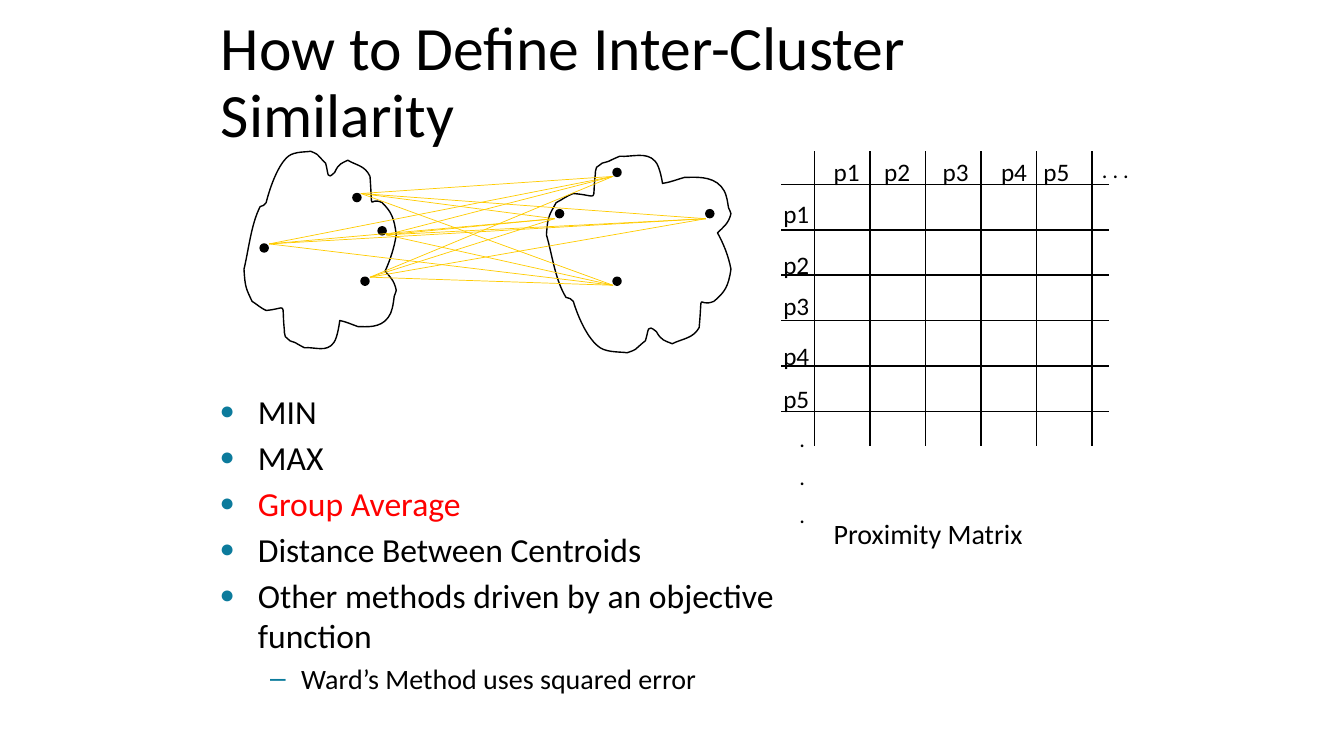
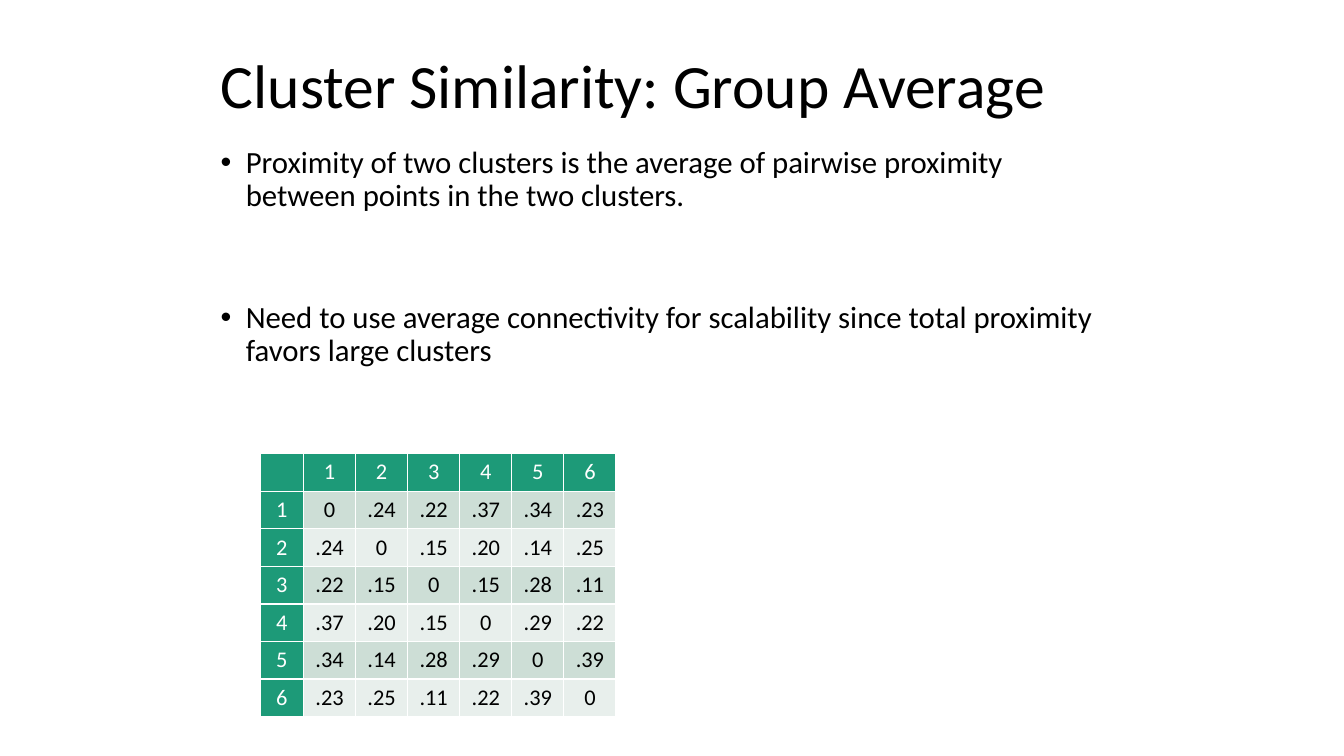
from dataclasses import dataclass
from itertools import product
from typing import NamedTuple

from lxml import etree
from pptx import Presentation, util as u
from pptx.dml.color import RGBColor
from pptx.enum import shapes, text
from pptx.oxml import ns


@dataclass(frozen=True)
class Theme:
    font: str = "Calibri"
    bullet_font: str = "Arial"
    ink: str = "000000"
    paper: str = "FFFFFF"
    accent: str = "FF0000"
    link: str = "FFCC00"
    bullet: str = "0C7B9C"
    header: str = "1D9A78"
    bands: tuple[str, str] = ("CDDED6", "E8EFEC")
    title: int = 44
    body: int = 24
    statement: int = 22
    detail: int = 20
    label: int = 18
    small: int = 16


THEME = Theme()


class Point(NamedTuple):
    x: float
    y: float


class Curve(NamedTuple):
    first_control: Point
    second_control: Point
    end: Point


class Box(NamedTuple):
    left: float
    top: float
    width: float
    height: float

    def lengths(self) -> list[u.Length]:
        return [u.Inches(value) for value in self]


class Bullet(NamedTuple):
    char: str
    margin: float
    hanging: float
    color: str
    percent: int = 100


class Item(NamedTuple):
    words: str
    size: int
    bullet: Bullet | None = None
    color: str = THEME.ink
    level: int = 0
    before: float = 0
    after: float = 0
    spacing: float = 1.0


# Shared text and line helpers
def style_font(paragraph, size: int, color: str = THEME.ink) -> None:
    font = paragraph.font
    font.name, font.size = THEME.font, u.Pt(size)
    font.color.rgb = RGBColor.from_string(color)


def add_bullet(paragraph, bullet: Bullet) -> None:
    properties = paragraph._p.get_or_add_pPr()
    properties.set("marL", str(u.Inches(bullet.margin)))
    properties.set("indent", str(-u.Inches(bullet.hanging)))
    color = etree.SubElement(properties, ns.qn("a:buClr"))
    etree.SubElement(color, ns.qn("a:srgbClr"), val=bullet.color)
    etree.SubElement(properties, ns.qn("a:buSzPct"), val=str(bullet.percent * 1000))
    etree.SubElement(properties, ns.qn("a:buFont"), typeface=THEME.bullet_font)
    etree.SubElement(properties, ns.qn("a:buChar"), char=bullet.char)


def add_text(parent, box: Box, items: list[Item], grow: bool = False) -> None:
    frame = parent.add_textbox(*box.lengths()).text_frame
    frame.word_wrap = True
    if grow:
        frame.auto_size = text.MSO_AUTO_SIZE.SHAPE_TO_FIT_TEXT
    for index, item in enumerate(items):
        paragraph = frame.add_paragraph() if index else frame.paragraphs[0]
        paragraph.text = item.words
        paragraph.level = item.level
        if item.bullet:
            add_bullet(paragraph, item.bullet)
        paragraph.line_spacing = item.spacing
        paragraph.space_before = u.Pt(item.before if index else 0)
        paragraph.space_after = u.Pt(item.after)
        style_font(paragraph, item.size, item.color)


def add_line(parent, start: Point, end: Point, color: str, weight: float) -> None:
    ends = [u.Inches(value) for value in (*start, *end)]
    line = parent.add_connector(shapes.MSO_CONNECTOR.STRAIGHT, *ends)
    line.line.color.rgb = RGBColor.from_string(color)
    line.line.width = u.Pt(weight)
    etree.SubElement(line._element.spPr, ns.qn("a:effectLst"))


def add_titled_slide(presentation, title: str, box: Box):
    slide = presentation.slides.add_slide(presentation.slide_layouts[5])
    shape = slide.shapes.title
    shape.left, shape.top, shape.width, shape.height = box.lengths()
    frame = shape.text_frame
    frame.text = title
    frame.word_wrap = True
    frame.auto_size = text.MSO_AUTO_SIZE.NONE
    frame.vertical_anchor = text.MSO_ANCHOR.MIDDLE
    paragraph = frame.paragraphs[0]
    paragraph.alignment = text.PP_ALIGN.LEFT
    paragraph.line_spacing = 0.9
    style_font(paragraph, THEME.title)
    return slide


# Cluster outline: a start point, then curves (two controls and an end each)
OUTLINE_START = Point(2.58, 2.05)
OUTLINE_CURVES = [Curve(Point(*c[:2]), Point(*c[2:4]), Point(*c[4:])) for c in [
    (2.49, 2.23, 2.47, 2.46, 2.42, 2.67), (2.43, 2.85, 2.44, 2.86, 2.5, 2.99),
    (2.55, 3.02, 2.59, 3.06, 2.64, 3.08), (2.86, 3.06, 2.79, 2.98, 2.82, 3.27),
    (2.82, 3.29, 2.82, 3.31, 2.83, 3.34), (2.9, 3.4, 2.85, 3.37, 2.93, 3.4),
    (2.96, 3.42, 3.02, 3.45, 3.02, 3.45), (3.12, 3.44, 3.24, 3.5, 3.31, 3.4),
    (3.35, 3.35, 3.37, 3.18, 3.37, 3.18), (3.43, 3.19, 3.49, 3.22, 3.55, 3.24),
    (3.63, 3.24, 3.77, 3.26, 3.85, 3.15), (3.89, 3.1, 3.9, 3.02, 3.91, 2.94),
    (3.92, 2.92, 3.93, 2.88, 3.93, 2.88), (3.91, 2.78, 3.87, 2.75, 3.82, 2.69),
    (3.87, 2.58, 3.91, 2.46, 3.93, 2.33), (3.91, 2.16, 3.88, 2.1, 3.79, 2.01),
    (3.65, 1.94, 3.7, 2.15, 3.67, 1.75), (3.62, 1.64, 3.53, 1.64, 3.45, 1.59),
    (3.39, 1.62, 3.36, 1.62, 3.32, 1.71), (3.24, 1.79, 3.26, 1.73, 3.23, 1.62),
    (3.12, 1.51, 3.17, 1.54, 3.08, 1.5), (3.05, 1.51, 2.92, 1.5, 2.86, 1.55),
    (2.76, 1.63, 2.68, 1.85, 2.64, 2.01), (2.63, 2.04, 2.6, 2.04, 2.58, 2.05),
]]


def mirrored(point: Point) -> Point:
    """Turn the left outline upside down and widen it for the right cluster."""
    return Point(5.42 + (point.x - 2.42) * 1.83 / 1.51, 5 - point.y)


def add_outline(slide, start: Point, curves: list[Curve]):
    builder = slide.shapes.build_freeform(u.Inches(start.x), u.Inches(start.y))
    builder.add_line_segments([(u.Inches(x), u.Inches(y)) for _, _, (x, y) in curves])
    outline = builder.convert_to_shape()
    # Bend each straight segment into its cubic curve
    segments = list(outline._element.iter(ns.qn("a:lnTo")))
    for segment, curve in zip(segments, curves):
        bend = etree.Element(ns.qn("a:cubicBezTo"))
        for point in curve:
            etree.SubElement(bend, ns.qn("a:pt"),
                             x=str(u.Inches(point.x) - outline.left),
                             y=str(u.Inches(point.y) - outline.top))
        segment.getparent().replace(segment, bend)
    return outline


def add_cluster(slide, start: Point, curves: list[Curve], dots: list[Point]) -> None:
    outline = add_outline(slide, start, curves)
    outline.fill.background()
    ellipses = [slide.shapes.add_shape(shapes.MSO_SHAPE.OVAL,
                                       *Box(x, y, 0.08, 0.08).lengths()) for x, y in dots]
    for shape in (outline, *ellipses):
        shape.shadow.inherit = False
        shape.line.color.rgb = RGBColor.from_string(THEME.ink)
        shape.line.width = u.Pt(1)
    for ellipse in ellipses:
        ellipse.fill.solid()
        ellipse.fill.fore_color.rgb = RGBColor.from_string(THEME.ink)


def add_matrix(slide) -> None:
    matrix = slide.shapes.add_group_shape().shapes
    for index in range(6):
        x, y = 8.08 + 0.55 * index, 1.83 + 0.45 * index
        add_line(matrix, Point(x, 1.5), Point(x, 4.42), THEME.ink, 1)
        add_line(matrix, Point(7.75, y), Point(11, y), THEME.ink, 1)
    column_lefts = (8.17, 8.67, 9.25, 9.83, 10.25)
    row_tops = (1.92, 2.42, 2.83, 3.33, 3.75)
    for number, (left, top) in enumerate(zip(column_lefts, row_tops), start=1):
        label = [Item(f"p{number}", THEME.label)]
        add_text(matrix, Box(left, 1.5, 0.58, 0.4), label, grow=True)
        add_text(matrix, Box(7.67, top, 0.58, 0.4), label, grow=True)
    add_text(matrix, Box(10.83, 1.5, 0.58, 0.37), [Item(". . .", THEME.small)], grow=True)
    add_text(matrix, Box(7.83, 4.17, 0.58, 1.17),
             [Item(".", THEME.small, before=8)] * 3, grow=True)


def build_definition_slide(presentation) -> None:
    slide = add_titled_slide(presentation, "How to Define Inter-Cluster Similarity",
                             Box(2.09, 0.17, 9.06, 1.33))
    add_matrix(slide)

    # Two clusters, every point of one linked to every point of the other
    add_cluster(slide, OUTLINE_START, OUTLINE_CURVES,
                [Point(3.58, 2.75), Point(3.5, 1.92), Point(2.58, 2.42), Point(3.75, 2.25)])
    add_cluster(slide, mirrored(OUTLINE_START),
                [Curve(*map(mirrored, curve)) for curve in OUTLINE_CURVES],
                [Point(7, 2.08), Point(5.51, 2.08), Point(6.08, 2.75), Point(6.08, 1.67)])
    starts = [Point(3.67, 2.75), Point(3.83, 2.33), Point(2.67, 2.42), Point(3.58, 1.92)]
    ends = [Point(6.08, 2.83), Point(5.5, 2.17), Point(6.08, 1.75), Point(7, 2.17)]
    for start, end in product(starts, ends):
        add_line(slide.shapes, start, end, THEME.link, 0.5)

    # Caption and list of methods
    add_text(slide.shapes, Box(8.17, 5.08, 2.75, 0.43),
             [Item("Proximity Matrix", THEME.detail)], grow=True)
    disc = Bullet("●", 0.38, 0.38, THEME.bullet, 75)
    dash = Bullet("–", 0.81, 0.31, THEME.bullet)
    methods = ["MIN", "MAX", "Group Average", "Distance Between Centroids",
               "Other methods driven by an objective function"]
    items = [Item(method, THEME.body, disc,
                  THEME.accent if method == "Group Average" else THEME.ink,
                  before=2, after=2) for method in methods]
    items.append(Item("Ward’s Method uses squared error", THEME.detail, dash,
                      level=1, before=2, after=2))
    add_text(slide.shapes, Box(2.08, 3.83, 6.33, 3.42), items)


# Proximity table
PROXIMITIES = [
    ["", "1", "2", "3", "4", "5", "6"],
    ["1", "0", ".24", ".22", ".37", ".34", ".23"],
    ["2", ".24", "0", ".15", ".20", ".14", ".25"],
    ["3", ".22", ".15", "0", ".15", ".28", ".11"],
    ["4", ".37", ".20", ".15", "0", ".29", ".22"],
    ["5", ".34", ".14", ".28", ".29", "0", ".39"],
    ["6", ".23", ".25", ".11", ".22", ".39", "0"],
]


def style_cell(cell, words: str, fill: str, color: str) -> None:
    properties = cell._tc.get_or_add_tcPr()
    for side in ("lnL", "lnR", "lnT", "lnB"):
        border = etree.SubElement(properties, ns.qn(f"a:{side}"), w=str(u.Pt(1)))
        solid = etree.SubElement(border, ns.qn("a:solidFill"))
        etree.SubElement(solid, ns.qn("a:srgbClr"), val=THEME.paper)
    cell.fill.solid()
    cell.fill.fore_color.rgb = RGBColor.from_string(fill)
    paragraph = cell.text_frame.paragraphs[0]
    paragraph.alignment = text.PP_ALIGN.CENTER
    style_font(paragraph, THEME.small, color)
    if words:
        paragraph.add_run().text = words
    else:  # keeps the empty corner from stretching its row
        etree.SubElement(paragraph._p, ns.qn("a:endParaRPr"), sz=str(THEME.small * 100))


def add_proximity_table(slide, box: Box, first_width: float) -> None:
    size = len(PROXIMITIES)
    table = slide.shapes.add_table(size, size, *box.lengths()).table
    for index, column in enumerate(table.columns):
        column.width = u.Inches((box.width - first_width) / (size - 1) if index else first_width)
    for row in table.rows:
        row.height = u.Inches(box.height / size)
    for row, column in product(range(size), repeat=2):
        inside = row > 0 and column > 0
        style_cell(table.cell(row, column), PROXIMITIES[row][column],
                   THEME.bands[(row - 1) % 2] if inside else THEME.header,
                   THEME.ink if inside else THEME.paper)


def build_average_slide(presentation) -> None:
    slide = add_titled_slide(presentation, "Cluster Similarity: Group Average",
                             Box(2.09, 0.34, 9, 1.08))
    dot = Bullet("•", 0.25, 0.25, THEME.ink)
    statements = [
        "Proximity of two clusters is the average of pairwise proximity "
        "between points in the two clusters.",
        "Need to use average connectivity for scalability since total proximity "
        "favors large clusters",
    ]
    add_text(slide.shapes, Box(2.09, 1.41, 9.1, 3.83),
             [Item(words, THEME.statement, dot, before=63, spacing=0.9)
              for words in statements])
    add_proximity_table(slide, Box(2.58, 4.5, 3.53, 2.61), 0.43)


def main() -> None:
    presentation = Presentation()
    presentation.slide_width = u.Inches(13.33)
    presentation.slide_height = u.Inches(7.5)
    build_definition_slide(presentation)
    build_average_slide(presentation)
    presentation.save("out.pptx")


if __name__ == "__main__":
    main()
